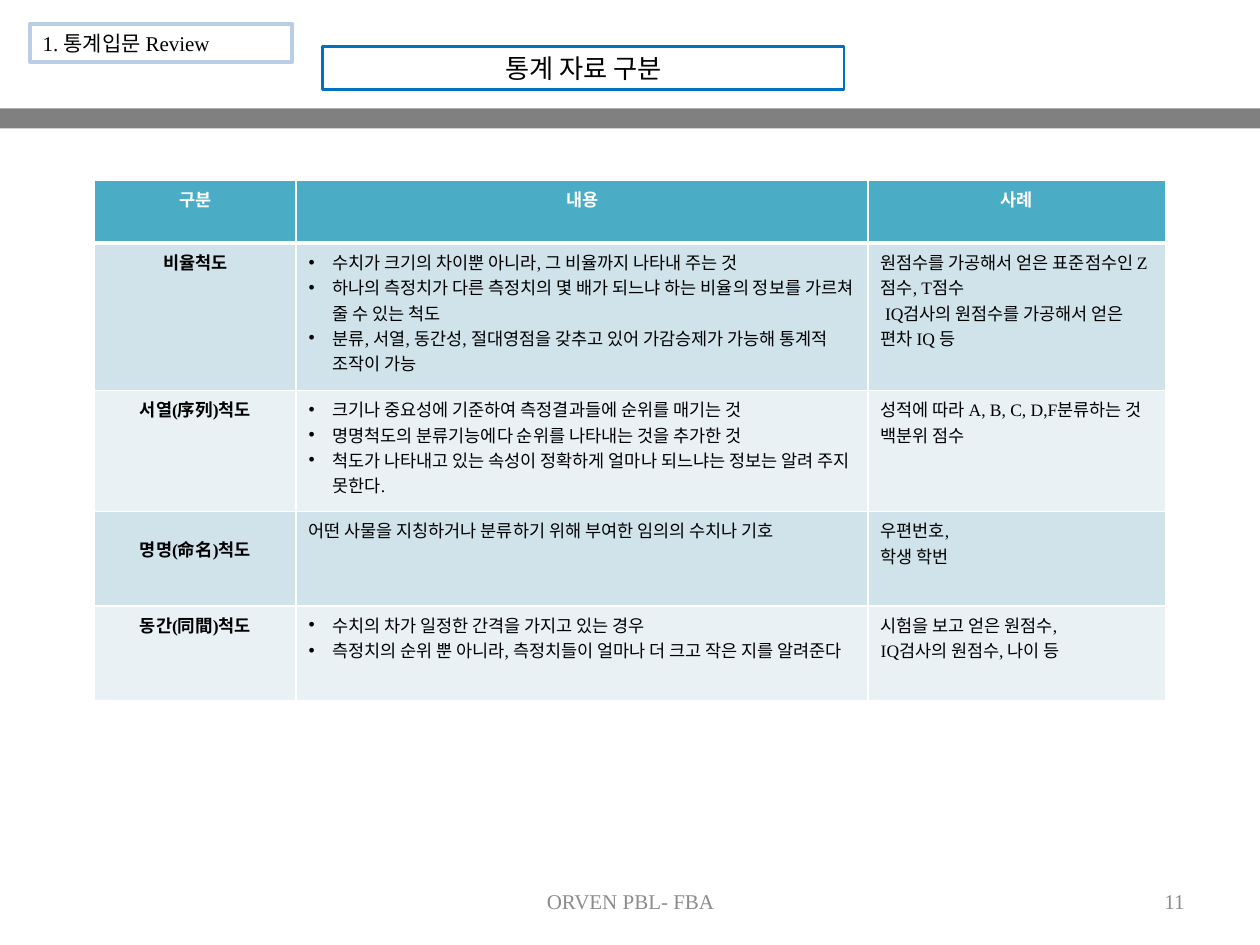
"""Build a slide that compares four scales of measurement in a table."""
from lxml.etree import SubElement
from pptx import Presentation
from pptx.dml.color import RGBColor as Rgb
from pptx.enum.shapes import MSO_SHAPE as Kind
from pptx.enum.text import MSO_ANCHOR as Anchor, MSO_AUTO_SIZE as Auto, PP_ALIGN as Align
from pptx.oxml import parse_xml
from pptx.oxml.ns import nsdecls, qn
from pptx.util import Inches, Pt

FONT = "Times New Roman"
HEX = {"bar": "808080", "foot": "8C8C8C", "head": "4BACC6", "odd": "D0E3EA",
       "even": "E9F1F5", "blue": "0070C0", "pale": "B9CDE5",
       "black": "000000", "white": "FFFFFF"}
TITLE = "통계 자료 구분"
TAG = "1. 통계입문 Review"
FOOT = [("ORVEN PBL- FBA", 3.42, 3.17, Align.CENTER),
        ("11", 7.17, 2.33, Align.RIGHT)]
HEAD = ["구분", "내용", "사례"]
BODY = [
    ("비율척도",
     ["수치가 크기의 차이뿐 아니라, 그 비율까지 나타내 주는 것",
      "하나의 측정치가 다른 측정치의 몇 배가 되느냐 하는 비율의 정보를 가르쳐 줄 수 있는 척도",
      "분류, 서열, 동간성, 절대영점을 갖추고 있어 가감승제가 가능해 통계적 조작이 가능"],
     ["원점수를 가공해서 얻은 표준점수인 Z점수, T점수",
      " IQ검사의 원점수를 가공해서 얻은 편차 IQ 등"]),
    ("서열(序列)척도",
     ["크기나 중요성에 기준하여 측정결과들에 순위를 매기는 것",
      "명명척도의 분류기능에다 순위를 나타내는 것을 추가한 것",
      "척도가 나타내고 있는 속성이 정확하게 얼마나 되느냐는 정보는 알려 주지 못한다."],
     ["성적에 따라 A, B, C, D,F분류하는 것", "백분위 점수"]),
    ("명명(命名)척도",
     ["어떤 사물을 지칭하거나 분류하기 위해 부여한 임의의 수치나 기호"],
     ["우편번호,", "학생 학번"]),
    ("동간(同間)척도",
     ["수치의 차가 일정한 간격을 가지고 있는 경우",
      "측정치의 순위 뿐 아니라, 측정치들이 얼마나 더 크고 작은 지를 알려준다"],
     ["시험을 보고 얻은 원점수,", "IQ검사의 원점수, 나이 등"]),
]
COLS = [1.6, 4.54, 2.36]
ROWS = [0.5, 1.17, 0.96, 0.75, 0.75]
LOW = 3


def tint(name):
    return Rgb.from_string(HEX[name])


def write(frame, lines, size, color="black", align=Align.LEFT, bold=False, dots=False):
    for i, line in enumerate(lines):
        para = frame.add_paragraph() if i else frame.paragraphs[0]
        para.text = line
        para.alignment = align
        if dots:
            prop = para._p.get_or_add_pPr()
            prop.set("marL", str(Inches(0.19)))
            prop.set("indent", str(-Inches(0.19)))
            SubElement(prop, qn("a:buFont"), typeface="Arial")
            SubElement(prop, qn("a:buChar"), char="•")
        font = para.font
        font.name, font.size, font.bold = FONT, Pt(size), bold
        font.color.rgb = tint(color)


def edge(cell, low):
    prop = cell._tc.get_or_add_tcPr()
    for i, side in enumerate("LRTB"):
        wide = Pt(low if side == "B" else 1)
        prop.insert(i, parse_xml(
            f'<a:ln{side} {nsdecls("a")} w="{wide}"><a:solidFill>'
            f'<a:srgbClr val="{HEX["white"]}"/></a:solidFill></a:ln{side}>'))


def place(shape, *box):
    shape.left, shape.top, shape.width, shape.height = map(Inches, box)


def rect(slide, *box):
    shape = slide.shapes.add_shape(Kind.RECTANGLE, *map(Inches, box))
    shape.shadow.inherit = False
    return shape


def frame_line(shape, color, width):
    shape.fill.background()
    shape.line.color.rgb = tint(color)
    shape.line.width = Pt(width)


def add_grid(slide):
    grid = slide.shapes.add_table(
        len(ROWS), len(COLS), *map(Inches, (0.75, 1.43, sum(COLS), sum(ROWS)))).table
    for col, wide in zip(grid.columns, COLS):
        col.width = Inches(wide)
    for row, high in zip(grid.rows, ROWS):
        row.height = Inches(high)
    data = [[[word] for word in HEAD]] + [([name], *rest) for name, *rest in BODY]
    for r, row in enumerate(data):
        for c, lines in enumerate(row):
            cell = grid.cell(r, c)
            cell.fill.solid()
            cell.fill.fore_color.rgb = tint("head" if r == 0 else "odd" if r % 2 else "even")
            edge(cell, 1 if r else 3)
            key = r == 0 or c == 0
            write(cell.text_frame, lines, 10, "black" if r else "white",
                  Align.CENTER if key else Align.LEFT, key, c == 1 and len(lines) > 1)
    grid.cell(LOW, 0).margin_top = Inches(0.2)


def main():
    deck = Presentation()
    deck.slide_width, deck.slide_height = Inches(10), Inches(7.5)
    slide = deck.slides.add_slide(deck.slide_layouts[5])

    bar = rect(slide, 0, 0.86, 10, 0.16)
    bar.fill.solid()
    bar.fill.fore_color.rgb = tint("bar")
    bar.line.fill.background()

    for text, left, wide, align in FOOT:
        box = slide.shapes.add_textbox(*map(Inches, (left, 6.95, wide, 0.4))).text_frame
        box.word_wrap = True
        box.vertical_anchor = Anchor.MIDDLE
        write(box, [text], 12, "foot", align)

    add_grid(slide)

    title = slide.shapes.title
    place(title, 2.56, 0.37, 4.14, 0.34)
    frame_line(title, "blue", 1.5)
    box = title.text_frame
    box.auto_size = Auto.NONE
    box.vertical_anchor = Anchor.MIDDLE
    box.margin_left = box.margin_right = Inches(0.07)
    box.margin_top = box.margin_bottom = Inches(0.04)
    write(box, [TITLE], 15, align=Align.CENTER)

    tag = rect(slide, 0.24, 0.19, 2.08, 0.3)
    frame_line(tag, "pale", 2.25)
    tag.text_frame.word_wrap = True
    tag.text_frame.vertical_anchor = Anchor.TOP
    tag.text_frame.auto_size = Auto.SHAPE_TO_FIT_TEXT
    write(tag.text_frame, [TAG], 12)

    deck.save("out.pptx")


if __name__ == "__main__":
    main()
